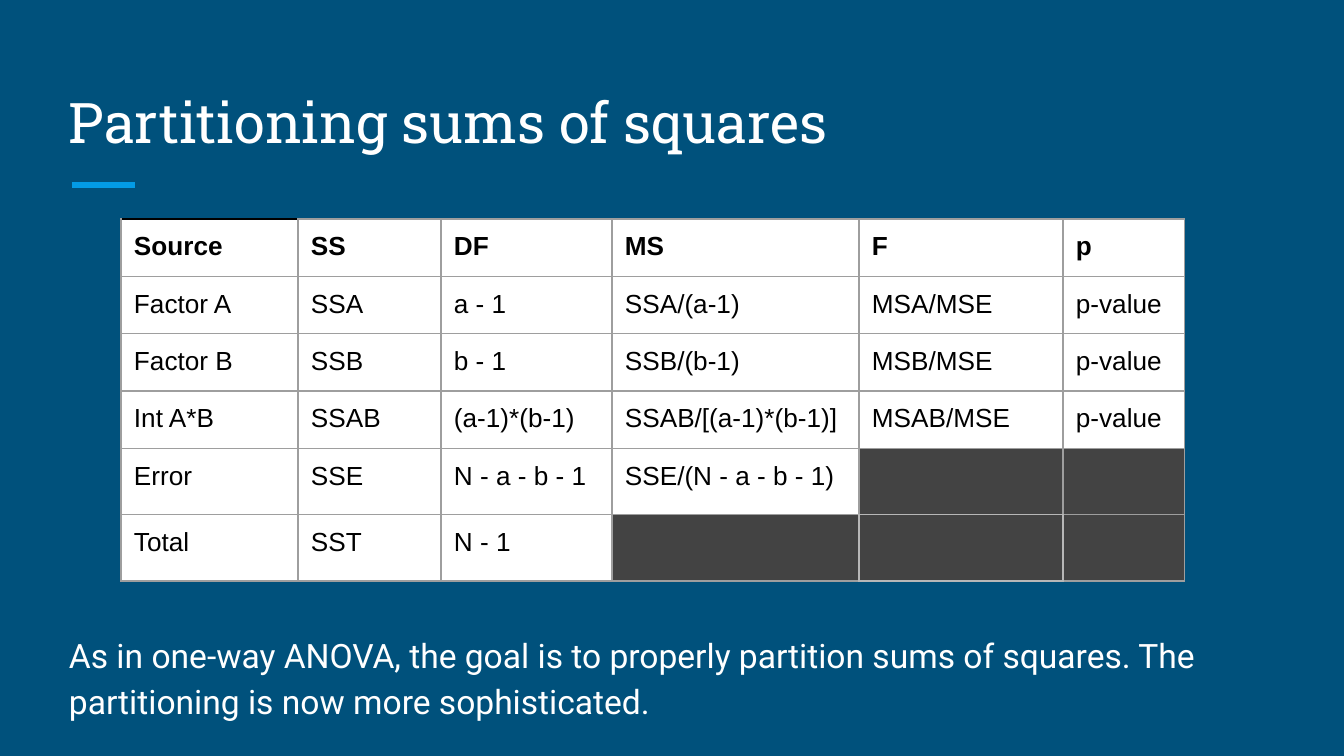
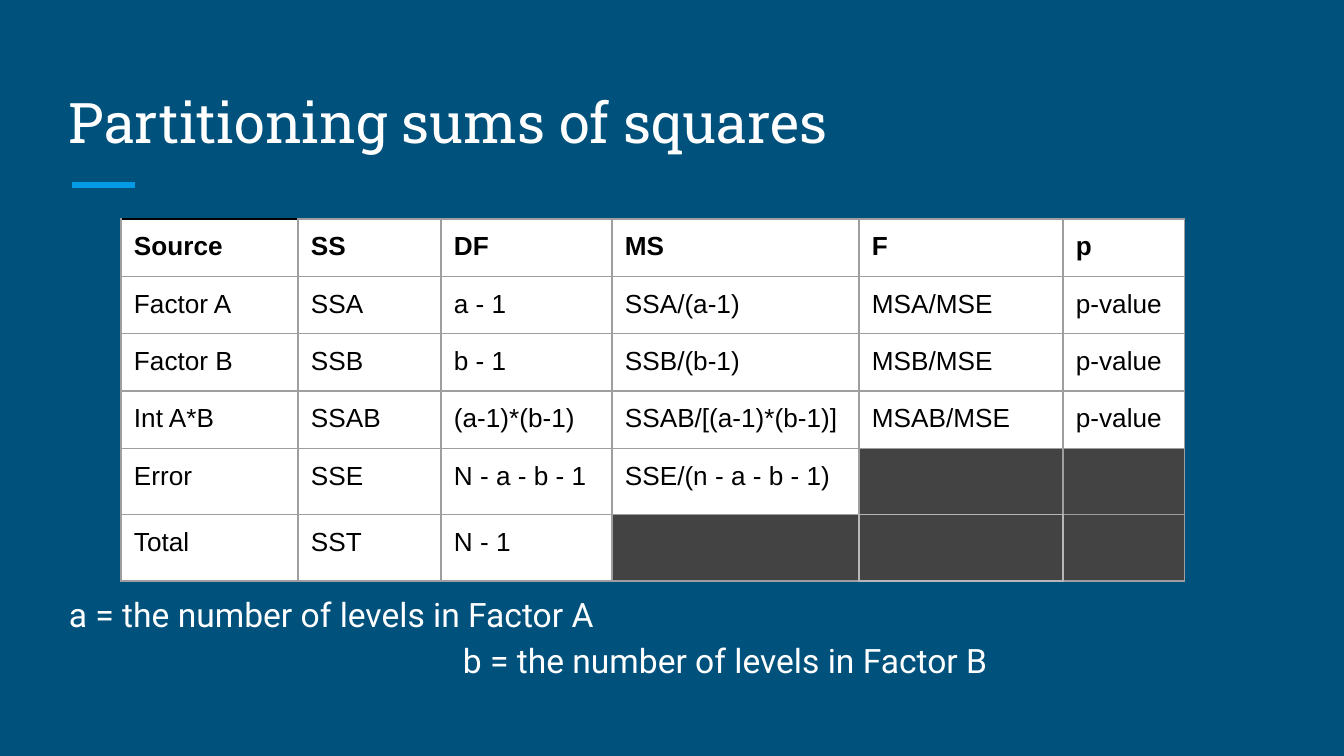
from lxml import etree
from pptx import Presentation
from pptx import util as u
from pptx.dml.color import RGBColor
from pptx.enum import shapes, text
from pptx.oxml import ns

# Content
TITLE = "Partitioning sums of squares"
HEADER = ["Source", "SS", "DF", "MS", "F", "p"]
EFFECTS = [
    ["Factor A", "SSA", "a - 1", "SSA/(a-1)", "MSA/MSE", "p-value"],
    ["Factor B", "SSB", "b - 1", "SSB/(b-1)", "MSB/MSE", "p-value"],
    ["Int A*B", "SSAB", "(a-1)*(b-1)", "SSAB/[(a-1)*(b-1)]", "MSAB/MSE", "p-value"],
]
ERROR = ["Error", "SSE", "N - a - b - 1"]
TOTAL = ["Total", "SST", "N - 1", "", "", ""]
# Each note is (text, left indent in px)
PAGES = [
    {"error_ms": "SSE/(N - a - b - 1)", "note_top": 616,
     "notes": [("As in one-way ANOVA, the goal is to properly partition sums of "
                "squares. The partitioning is now more sophisticated.", 0)]},
    {"error_ms": "SSE/(n - a - b - 1)", "note_top": 575,
     "notes": [("a = the number of levels in Factor A", 0),
               ("b = the number of levels in Factor B", 394)]},
]

# Shared look
NAVY = RGBColor(0x00, 0x51, 0x7C)
SKY = RGBColor(0x03, 0x9B, 0xE5)
WHITE = RGBColor(0xFF, 0xFF, 0xFF)
BLACK = RGBColor(0x00, 0x00, 0x00)
CHARCOAL = RGBColor(0x43, 0x43, 0x43)
GREY = RGBColor(0x9E, 0x9E, 0x9E)
SILVER = RGBColor(0xB7, 0xB7, 0xB7)

TITLE_FONT = {"name": "Roboto Slab", "size": u.Pt(30)}
NOTE_FONT = {"name": "Roboto", "size": u.Pt(18)}
CELL_FONT = {"name": "Arial", "size": u.Pt(14)}

# Geometry in px
WIDTH, HEIGHT = 1344, 756
TEXT_LEFT, TEXT_WIDTH, INSET = 56, 1230, 13
TABLE_LEFT, TABLE_TOP = 121, 219
COLUMNS = [177, 143, 171, 247, 204, 122]
ROWS = [56, 56, 56, 56, 65, 64]

# Borders that differ from grey, by (row, column)
BORDERS = {
    (0, 0): {"T": BLACK},
    (4, 4): {"B": SILVER},
    (5, 3): {"R": SILVER},
    (5, 4): dict.fromkeys("LRTB", SILVER),
    (5, 5): {"L": SILVER},
}


def px(length):
    return u.Emu(round(length * 914400 / 134.4))


def style(span, color, formats):
    span.font.color.rgb = color
    for name, value in formats.items():
        setattr(span.font, name, value)


def set_insets(owner):
    for side in ("left", "top", "right", "bottom"):
        setattr(owner, f"margin_{side}", px(INSET))


def add_text(page, top, height, lines, formats, anchor, spacing):
    box = page.shapes.add_textbox(px(TEXT_LEFT), px(top), px(TEXT_WIDTH), px(height))
    frame = box.text_frame
    frame.word_wrap = True
    frame.vertical_anchor = anchor
    set_insets(frame)
    for index, (words, indent) in enumerate(lines):
        para = frame.add_paragraph() if index else frame.paragraphs[0]
        para.line_spacing = spacing
        if indent:
            para._p.get_or_add_pPr().set("marL", str(px(indent)))
        span = para.add_run()
        span.text = words
        style(span, WHITE, formats)


def add_accent(page):
    accent = page.shapes.add_connector(
        shapes.MSO_CONNECTOR.STRAIGHT, px(72), px(185), px(135), px(185))
    accent.line.color.rgb = SKY
    accent.line.width = u.Pt(3)
    etree.SubElement(accent._element.spPr, ns.qn("a:effectLst"))


def set_borders(cell, special):
    properties = cell._tc.get_or_add_tcPr()
    for side in "LRTB":
        line = etree.SubElement(properties, ns.qn(f"a:ln{side}"), w=str(u.Pt(0.75)))
        fill = etree.SubElement(line, ns.qn("a:solidFill"))
        etree.SubElement(fill, ns.qn("a:srgbClr"), val=str(special.get(side, GREY)))


def add_anova(page, rows):
    frame = page.shapes.add_table(
        len(rows), len(COLUMNS), px(TABLE_LEFT), px(TABLE_TOP),
        px(sum(COLUMNS)), px(sum(ROWS)))
    table = frame.table
    table.first_row = table.horz_banding = False
    for column, width in zip(table.columns, COLUMNS):
        column.width = px(width)
    for row, height in zip(table.rows, ROWS):
        row.height = px(height)
    for r, words_in_row in enumerate(rows):
        for c, words in enumerate(words_in_row):
            cell = table.cell(r, c)
            set_insets(cell)
            set_borders(cell, BORDERS.get((r, c), {}))
            cell.fill.solid()
            cell.fill.fore_color.rgb = WHITE if words else CHARCOAL
            if words:
                span = cell.text_frame.paragraphs[0].add_run()
                span.text = words
                style(span, BLACK, {**CELL_FONT, "bold": r == 0})


def add_page(deck, content):
    page = deck.slides.add_slide(deck.slide_layouts[6])
    page.background.fill.solid()
    page.background.fill.fore_color.rgb = NAVY
    add_accent(page)
    add_text(page, 67, 101, [(TITLE, 0)], TITLE_FONT, text.MSO_ANCHOR.BOTTOM, 1.0)
    add_text(page, content["note_top"], 118, content["notes"], NOTE_FONT,
             text.MSO_ANCHOR.TOP, 1.15)
    error = ERROR + [content["error_ms"], "", ""]
    add_anova(page, [HEADER, *EFFECTS, error, TOTAL])


def main():
    deck = Presentation()
    deck.slide_width, deck.slide_height = px(WIDTH), px(HEIGHT)
    for content in PAGES:
        add_page(deck, content)
    deck.save("out.pptx")


if __name__ == "__main__":
    main()
